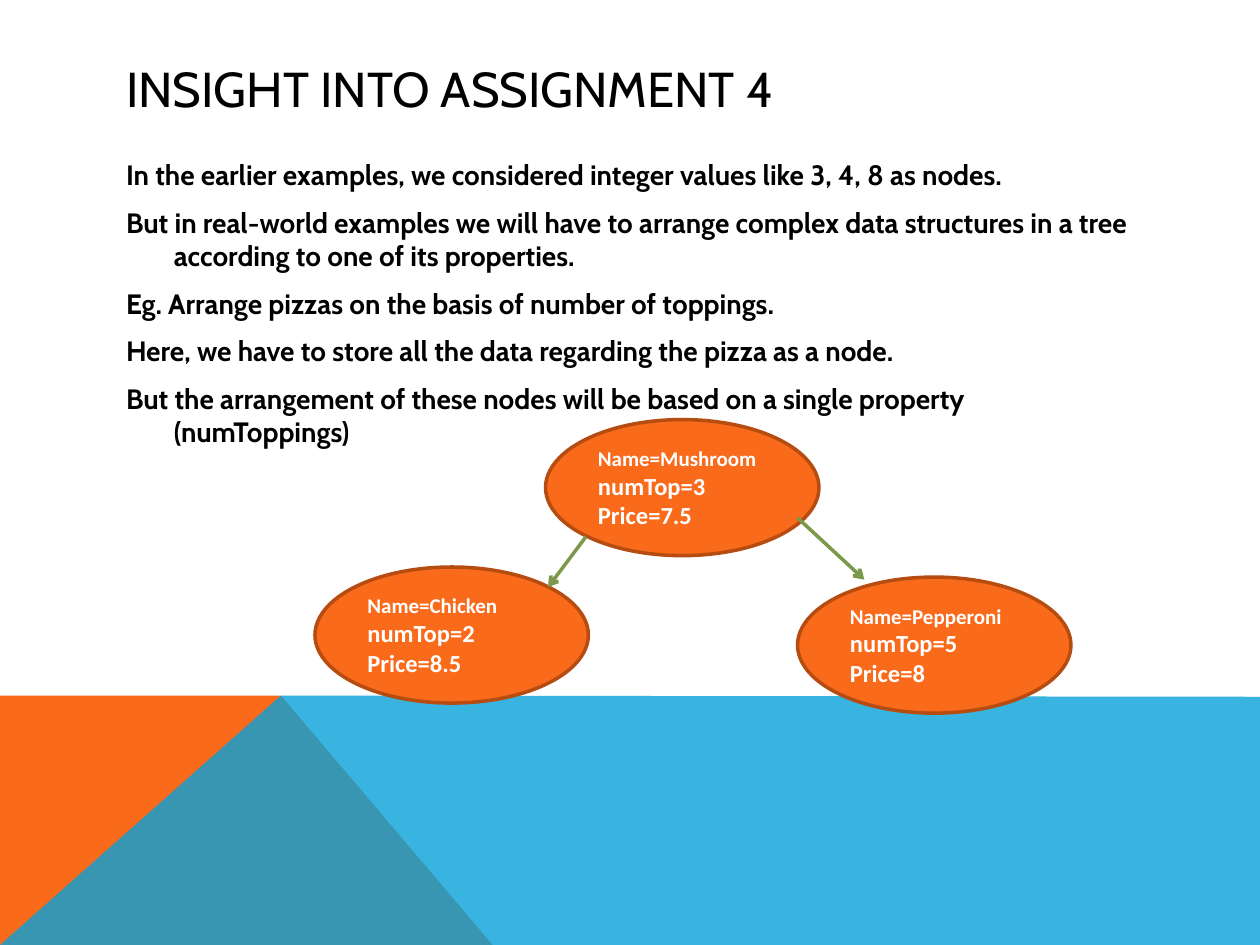
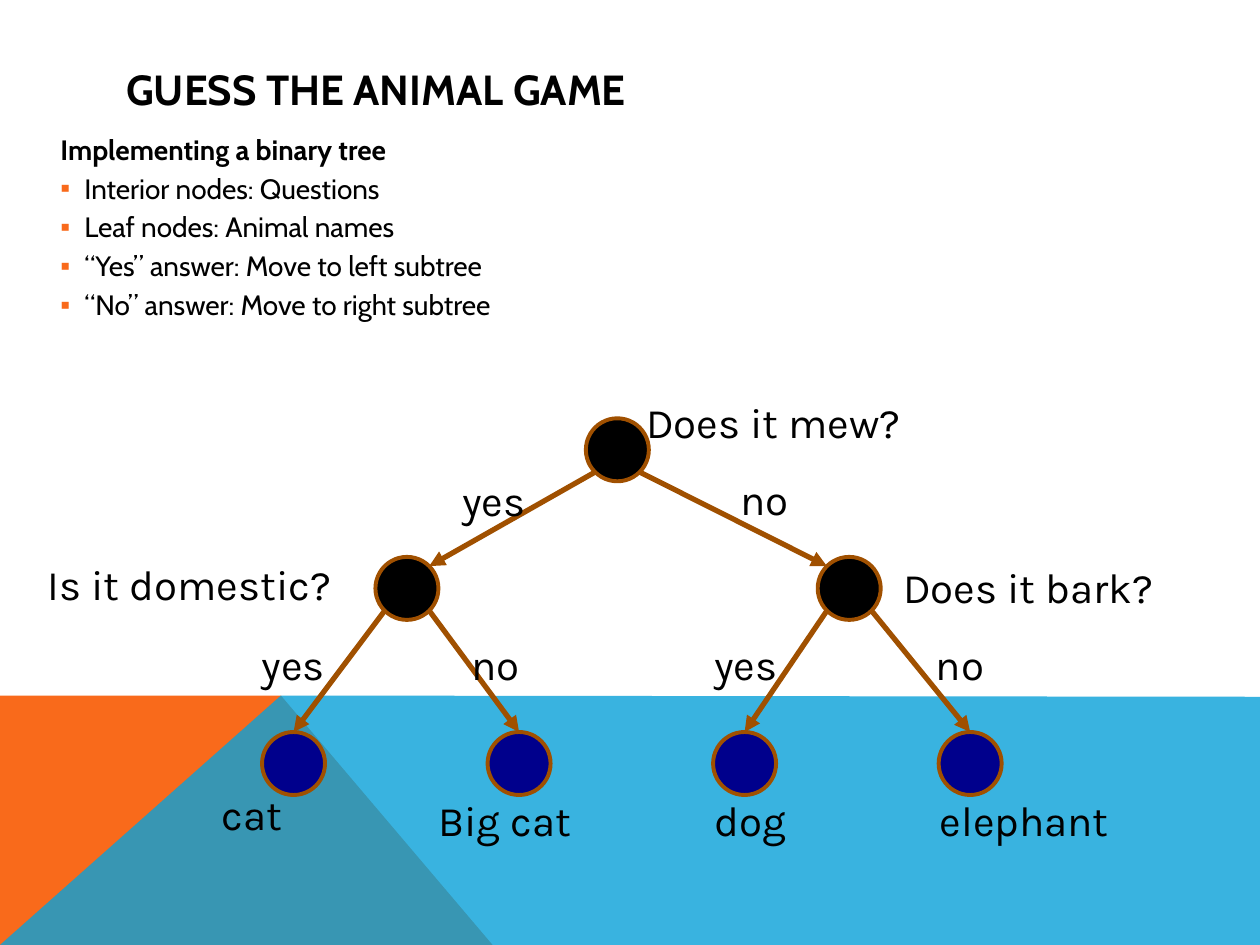
from collections import namedtuple
from math import sqrt

from lxml import etree
from pptx import Presentation
from pptx.dml.color import RGBColor
from pptx.enum.shapes import MSO_CONNECTOR, MSO_SHAPE
from pptx.enum.text import MSO_ANCHOR, MSO_AUTO_SIZE, PP_ALIGN
from pptx.oxml.ns import qn
from pptx.util import Inches, Pt

SLIDE_WIDTH, SLIDE_HEIGHT = Inches(10), Inches(7.5)
COLUMN, ROW = SLIDE_WIDTH / 100, SLIDE_HEIGHT / 75

COLORS = {
    "text": "000000",
    "light": "FFFFFF",
    "orange": "F96A1B",
    "pizza_outline": "B74C11",
    "blue": "08A1D9",
    "green": "7C984A",
    "brown": "A05000",
    "question": "000000",
    "animal": "00008C",
}

# All boxes are left, top, width and height in columns and rows.
Box = namedtuple("Box", "left top width height")
TITLE_BOX = Box(9, 4, 82.3, 6)
BAND_BOX = Box(0, 55.2, 100, 19.8)

HEADING = {"name": "Cabin", "size": Pt(16), "bold": True}
BULLET = {**HEADING, "bold": False}
PIZZA_NAME = {"name": "Calibri", "size": Pt(12), "bold": True}
PIZZA_DETAIL = {**PIZZA_NAME, "size": Pt(14)}
LABEL = {"name": "Karla", "size": Pt(24)}


def color(name):
    return RGBColor.from_string(COLORS[name])


def to_emu(box):
    return (round(box.left * COLUMN), round(box.top * ROW),
            round(box.width * COLUMN), round(box.height * ROW))


def within(region, left, top, width=0, height=0):
    return Box(region.left + left, region.top + top, width, height)


def place(shape, box):
    shape.left, shape.top, shape.width, shape.height = to_emu(box)


def format_font(paragraph, values, color_name="text"):
    for name, value in values.items():
        setattr(paragraph.font, name, value)
    paragraph.font.color.rgb = color(color_name)


def format_frame(frame, anchor=MSO_ANCHOR.TOP):
    values = {"word_wrap": True, "auto_size": MSO_AUTO_SIZE.NONE,
              "vertical_anchor": anchor}
    for name, value in values.items():
        setattr(frame, name, value)


def add_paragraphs(frame, texts):
    """Fill the frame, its first paragraph included, and yield each paragraph."""
    for index, text in enumerate(texts):
        paragraph = frame.add_paragraph() if index else frame.paragraphs[0]
        paragraph.text = text
        paragraph.alignment = PP_ALIGN.LEFT
        yield paragraph


def set_hanging(paragraph, indent, bullet=None):
    properties = paragraph._p.get_or_add_pPr()
    properties.set("marL", str(Inches(indent)))
    properties.set("indent", str(-Inches(indent)))
    if bullet:
        bullet_color = etree.SubElement(properties, qn("a:buClr"))
        etree.SubElement(bullet_color, qn("a:srgbClr"), val=COLORS["orange"])
        etree.SubElement(properties, qn("a:buChar"), char=bullet)
    else:
        etree.SubElement(properties, qn("a:buNone"))


def add_title(slide, text, size, bold):
    title = slide.shapes.title
    place(title, TITLE_BOX)
    format_frame(title.text_frame, MSO_ANCHOR.MIDDLE)
    for paragraph in add_paragraphs(title.text_frame, [text]):
        format_font(paragraph, {**HEADING, "size": Pt(size), "bold": bold})


def add_body(slide, box, headings, bullets=()):
    body = slide.placeholders[1]
    place(body, box)
    format_frame(body.text_frame)
    for index, paragraph in enumerate(
            add_paragraphs(body.text_frame, [*headings, *bullets])):
        is_bullet = index >= len(headings)
        if is_bullet:
            paragraph.level = 1
            set_hanging(paragraph, 0.19, "▪")
        else:
            set_hanging(paragraph, 0.38)
        paragraph.space_before = Pt(0 if index == 0 else 3 if is_bullet else 8)
        format_font(paragraph, BULLET if is_bullet else HEADING)


def add_band(slide, box):
    """Draw the orange wedge and the translucent blue band over it."""
    apex = 0.22 * box.width + 0.3
    outlines = {
        "orange": [(0, box.height), (0, 0), (apex, 0), (39.1, box.height)],
        "blue": [(0, box.height), (apex, 0), (box.width, 0.1),
                 (box.width, box.height)],
    }
    for name, points in outlines.items():
        corners = [to_emu(within(box, *point))[:2] for point in points]
        builder = slide.shapes.build_freeform(*corners[0], scale=1.0)
        builder.add_line_segments(corners[1:], close=True)
        shape = builder.convert_to_shape()
        shape.shadow.inherit = False
        shape.fill.solid()
        shape.fill.fore_color.rgb = color(name)
        shape.line.fill.background()
    fill_color = shape._element.spPr.find(".//" + qn("a:srgbClr"))
    etree.SubElement(fill_color, qn("a:alpha"), val="80000")


def add_ellipse(slide, box, fill, outline, width):
    ellipse = slide.shapes.add_shape(MSO_SHAPE.OVAL, *to_emu(box))
    ellipse.shadow.inherit = False
    ellipse.fill.solid()
    ellipse.fill.fore_color.rgb = color(fill)
    ellipse.line.color.rgb = color(outline)
    ellipse.line.width = Pt(width)
    return ellipse


def add_arrow(slide, start, end, color_name, width, head):
    connector = slide.shapes.add_connector(
        MSO_CONNECTOR.STRAIGHT, *to_emu(start)[:2], *to_emu(end)[:2])
    connector.line.color.rgb = color(color_name)
    connector.line.width = Pt(width)
    etree.SubElement(connector.line._get_or_add_ln(), qn("a:tailEnd"), type=head)
    etree.SubElement(connector._element.spPr, qn("a:effectLst"))
    return connector


def add_pizza_tree(slide, box):
    pizzas = [
        (18.3, 0, "Mushroom", 3, 7.5),
        (38.3, 12.5, "Pepperoni", 5, 8),
        (0, 11.7, "Chicken", 2, 8.5),
    ]
    for left, top, name, toppings, price in pizzas:
        pizza = add_ellipse(slide, within(box, left, top, 21.7, 10.8),
                            "orange", "pizza_outline", 2)
        format_frame(pizza.text_frame, MSO_ANCHOR.MIDDLE)
        texts = [f"Name={name}", f"numTop={toppings}", f"Price={price}"]
        formats = [PIZZA_NAME, PIZZA_DETAIL, PIZZA_DETAIL]
        for paragraph, values in zip(add_paragraphs(pizza.text_frame, texts), formats):
            format_font(paragraph, values, "light")
    for start, end in [((21.5, 9.3), (18.5, 13.3)), ((38.3, 7.8), (43.6, 12.7))]:
        add_arrow(slide, within(box, *start), within(box, *end), "green", 2, "arrow")


def add_animal_tree(slide, box):
    diameter = 5
    diagonal = diameter / 2 / sqrt(2)
    root = within(box, 49, 4.7)
    questions = [within(box, center, 15.7) for center in (32.3, 67.4)]
    animals = [within(box, 23.3 + 17.9 * index, 29.6) for index in range(4)]

    def add_node(center, fill):
        node_box = within(center, -diameter / 2, -diameter / 2, diameter, diameter)
        return add_ellipse(slide, node_box, fill, "brown", 2.25)

    def add_branch(parent, child, side):
        """Run an arrow from the lower left (-1) or right (1) of the parent."""
        start = within(parent, side * diagonal, diagonal)
        end = within(child, -side * diagonal, -diagonal)
        return add_arrow(slide, start, end, "brown", 3, "triangle")

    for center in (root, *questions):
        add_node(center, "question")
    for side, question in zip((-1, 1), questions):
        add_branch(root, question, side)
    for index, animal in enumerate(animals):
        node = add_node(animal, "animal")
        branch = add_branch(questions[index // 2], animal, (-1, 1)[index % 2])
        branch.end_connect(node, 0)

    labels = [
        ("Does it mew?", 50.3, 0, 24.4),
        ("Does it bark?", 70.7, 13.1, 29.3),
        ("Is it domestic?", 2.8, 12.8, 29),
        ("yes", 35.7, 6.2, 7.1),
        ("no", 57.8, 6.1, 8.5),
        ("yes", 19.8, 19.2, 7.1),
        ("no", 36.4, 19.2, 8.5),
        ("yes", 55.7, 19.2, 7.1),
        ("no", 73.3, 19.2, 8.5),
        ("cat", 16.6, 31.1, 10.7),
        ("Big cat", 33.8, 31.6, 17.4),
        ("dog", 55.7, 31.6, 9.5),
        ("elephant", 73.6, 31.6, 19.9),
    ]
    for text, left, top, width in labels:
        label = slide.shapes.add_textbox(*to_emu(within(box, left, top, width, 5)))
        format_frame(label.text_frame)
        for paragraph in add_paragraphs(label.text_frame, [text]):
            format_font(paragraph, LABEL)


def add_base_slide(presentation, title, size, bold):
    slide = presentation.slides.add_slide(presentation.slide_layouts[1])
    add_band(slide, BAND_BOX)
    add_title(slide, title, size, bold)
    return slide


def add_assignment_slide(presentation):
    slide = add_base_slide(presentation, "INSIGHT INTO ASSIGNMENT 4", 28, False)
    add_body(slide, Box(9, 12, 82.3, 39.1), [
        "In the earlier examples, we considered integer values like 3, 4, 8 as nodes.",
        "But in real-world examples we will have to arrange complex data structures "
        "in a tree according to one of its properties.",
        "Eg. Arrange pizzas on the basis of number of toppings.",
        "Here, we have to store all the data regarding the pizza as a node.",
        "But the arrangement of these nodes will be based on a single property "
        "(numToppings)",
    ])
    add_pizza_tree(slide, Box(25, 33.3, 60, 23.3))


def add_game_slide(presentation):
    slide = add_base_slide(presentation, "GUESS THE ANIMAL GAME", 24, True)
    add_body(slide, Box(3.8, 10, 92.2, 20.5), ["Implementing a binary tree"], [
        "Interior nodes: Questions",
        "Leaf nodes: Animal names",
        "“Yes” answer: Move to left subtree",
        "“No” answer: Move to right subtree",
    ])
    add_animal_tree(slide, Box(0, 31, 100, 36.6))


def main():
    presentation = Presentation()
    presentation.slide_width = SLIDE_WIDTH
    presentation.slide_height = SLIDE_HEIGHT
    add_assignment_slide(presentation)
    add_game_slide(presentation)
    presentation.save("out.pptx")


if __name__ == "__main__":
    main()
